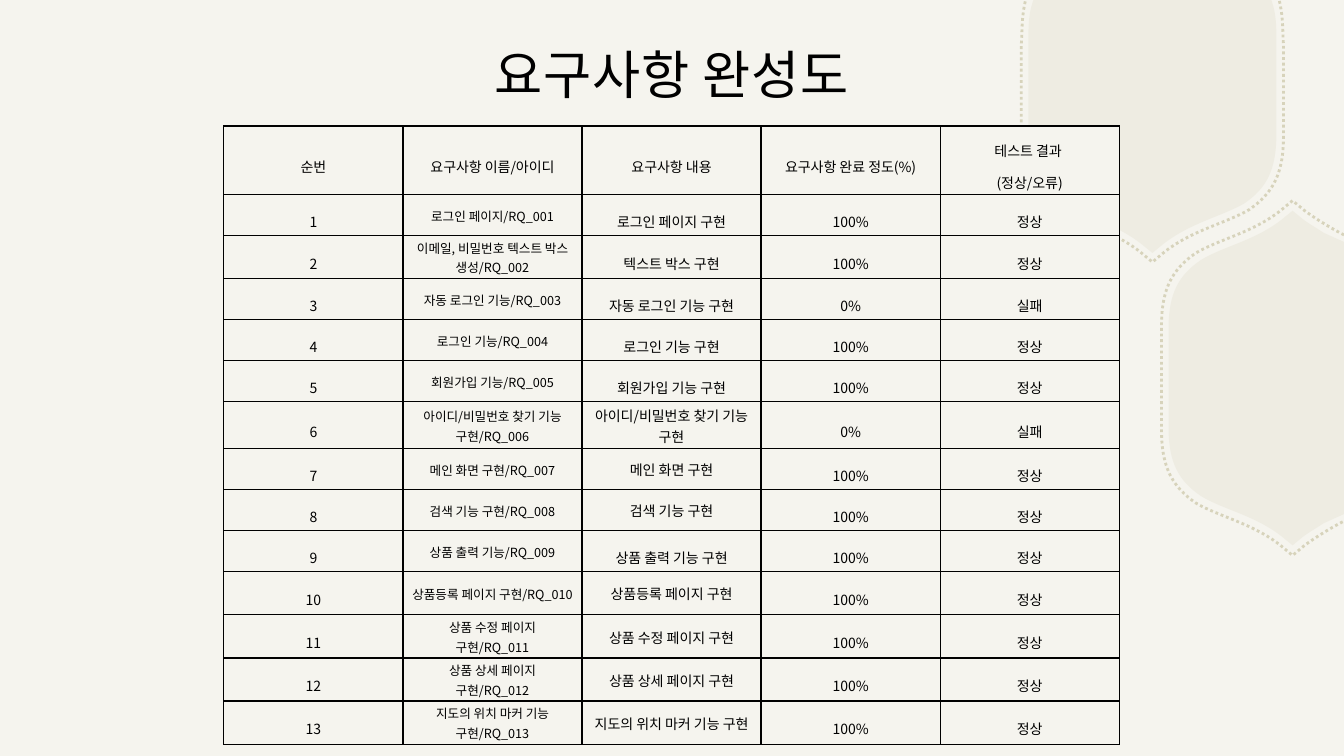
from lxml.etree import SubElement
from pptx import Presentation
from pptx.dml.color import RGBColor as RGB
from pptx.enum.dml import MSO_LINE
from pptx.enum.text import MSO_ANCHOR as ANCHOR, MSO_AUTO_SIZE as AUTO, PP_ALIGN as ALIGN
from pptx.oxml import parse_xml
from pptx.oxml.ns import nsdecls, qn
from pptx.util import Inches, Pt

COLORS = {"bg": "F5F4EE", "hexagon": "C8C3A2", "text": "000000", "border": "000000"}
TABLE_FONT = "Noto Sans CJK KR"
SLIDE_W, SLIDE_H = 13.33, 7.5

HEADERS = ["순번", "요구사항 이름/아이디", "요구사항 내용",
           "요구사항 완료 정도(%)", "테스트 결과 \n(정상/오류)"]
REQUIREMENTS = [  # name, content, percent done
    ("로그인 페이지", "로그인 페이지 구현", 100),
    ("이메일, 비밀번호 텍스트 박스 생성", "텍스트 박스 구현", 100),
    ("자동 로그인 기능", "자동 로그인 기능 구현", 0),
    ("로그인 기능", "로그인 기능 구현", 100),
    ("회원가입 기능", "회원가입 기능 구현", 100),
    ("아이디/비밀번호 찾기 기능 구현", "아이디/비밀번호 찾기 기능 구현", 0),
    ("메인 화면 구현", "메인 화면 구현", 100),
    ("검색 기능 구현", "검색 기능 구현", 100),
    ("상품 출력 기능", "상품 출력 기능 구현", 100),
    ("상품등록 페이지 구현", "상품등록 페이지 구현", 100),
    ("상품 수정 페이지 구현", "상품 수정 페이지 구현", 100),
    ("상품 상세 페이지 구현", "상품 상세 페이지 구현", 100),
    ("지도의 위치 마커 기능 구현", "지도의 위치 마커 기능 구현", 100),
]
LOOSE = {"line_spacing": 1.6}
COMPACT = {"line_spacing": 1.07, "space_after": Pt(8)}

# Half outlines from the slide edge to the axis of symmetry:
# segment kinds (L line, C curve) and their points
TOP_AXIS = {"x": 11.43}
RIGHT_AXIS = {"y": 3.75}
TOP_FILL = ("LCLCCL", [
    (12.61, 0), (12.62, 0.03), (12.65, 0.12), (12.66, 0.23), (12.66, 0.36),
    (12.66, 1.33), (12.66, 1.69), (12.56, 1.87), (12.34, 2.02),
    (12.11, 2.15), (11.81, 2.21), (11.54, 2.42), (11.43, 2.51)])
RIGHT_FILL = ("LCLLCCL", [
    (13.33, 2.4), (13.13, 2.31), (13.07, 2.27), (13, 2.23), (12.93, 2.18),
    (12.82, 2.09), (12.71, 2.18), (12.44, 2.39), (12.14, 2.44), (11.91, 2.58),
    (11.69, 2.73), (11.59, 2.91), (11.59, 3.26), (11.59, 3.75)])
TOP_DOTS = ("CLCCL", [
    (12.69, 0.01), (12.73, 0.19), (12.72, 0.3), (12.73, 0.44),
    (12.73, 1.36), (12.73, 1.73), (12.62, 1.92), (12.39, 2.08),
    (12.15, 2.22), (11.83, 2.28), (11.55, 2.5), (11.43, 2.6)])
RIGHT_DOTS = ("CLLCCL", [
    (13.33, 2.33), (13.19, 2.26), (13.02, 2.15), (12.94, 2.09), (12.82, 1.99),
    (12.7, 2.09), (12.42, 2.31), (12.1, 2.37), (11.86, 2.51),
    (11.63, 2.67), (11.52, 2.86), (11.52, 3.23), (11.52, 3.75)])


def set_attrs(obj, values):
    """Set every attribute in a dict of format values."""
    for name, value in values.items():
        setattr(obj, name, value)


def set_alpha(fill, percent):
    """Give a solid fill an opacity."""
    clr = fill._xPr.find(qn("a:solidFill"))[0]
    SubElement(clr, qn("a:alpha")).set("val", str(percent * 1000))


def mirror(half, x=None, y=None):
    """Complete a half outline by reflecting it in a vertical or horizontal axis."""
    kinds, pts = half
    other = [(px if x is None else 2 * x - px, py if y is None else 2 * y - py)
             for px, py in pts[-2::-1]]
    return kinds + kinds[::-1], pts + other


def add_outline(slide, kinds, pts, close):
    """Draw a freeform, joining the points of each curve segment into a Bezier."""
    pts = [(Inches(x), Inches(y)) for x, y in pts]
    builder = slide.shapes.build_freeform(*pts[0], scale=1.0)
    builder.add_line_segments(pts[1:], close=close)
    sp = builder.convert_to_shape()
    sp.shadow.inherit = False
    lines = iter(list(sp._element.iter(qn("a:lnTo"))))
    for kind in kinds:
        first = next(lines)
        if kind == "C":
            first.tag = qn("a:cubicBezTo")
            for _ in range(2):
                line = next(lines)
                first.append(line[0])
                line.getparent().remove(line)
    return sp


def add_filled_hexagon(slide, half, axis):
    """Add a pale hexagon cut at the slide edge."""
    sp = add_outline(slide, *mirror(half, **axis), close=True)
    sp.fill.solid()
    sp.fill.fore_color.rgb = RGB.from_string(COLORS["hexagon"])
    set_alpha(sp.fill, 15)
    sp.line.fill.background()


def add_dotted_hexagon(slide, half, axis):
    """Add the dotted line around a hexagon, open at the slide edge."""
    sp = add_outline(slide, *mirror(half, **axis), close=False)
    sp.fill.background()
    sp.line.color.rgb = RGB.from_string(COLORS["hexagon"])
    set_attrs(sp.line, {"width": Pt(2), "dash_style": MSO_LINE.ROUND_DOT})
    set_alpha(sp.line.fill, 65)


def add_borders(cell):
    """Draw a thin line on all four sides of a cell."""
    tcPr = cell._tc.get_or_add_tcPr()
    for side in "LRTB":
        tcPr.append(parse_xml(
            f'<a:ln{side} {nsdecls("a")} w="12700"><a:solidFill>'
            f'<a:srgbClr val="{COLORS["border"]}"/></a:solidFill></a:ln{side}>'))


def fill_cell(cell, text, size=10, side=0.02, spacing=LOOSE):
    """Write and format one table cell."""
    set_attrs(cell, {"vertical_anchor": ANCHOR.MIDDLE,
                     "margin_left": Inches(side), "margin_right": Inches(side),
                     "margin_top": Inches(0.02), "margin_bottom": Inches(0.02)})
    add_borders(cell)
    cell.fill.solid()
    cell.fill.fore_color.rgb = RGB.from_string(COLORS["bg"])
    cell.text = text
    for p in cell.text_frame.paragraphs:
        set_attrs(p, {"alignment": ALIGN.CENTER, **spacing})
        for r in p.runs:
            set_attrs(r.font, {"size": Pt(size), "name": TABLE_FONT, "bold": False})
            r.font.color.rgb = RGB.from_string(COLORS["text"])
            SubElement(r.font._element, qn("a:ea")).set("typeface", TABLE_FONT)


def add_requirements_table(slide):
    """Add the table of requirements and their test results."""
    count = len(REQUIREMENTS)
    tbl = slide.shapes.add_table(count + 1, len(HEADERS), Inches(2.22), Inches(1.25),
                                 Inches(8.88), Inches(5.67)).table
    set_attrs(tbl, {"first_row": False, "horz_banding": False})
    for i, row in enumerate(tbl.rows):
        row.height = Inches(5.29 / count if i else 0.38)
    for col, text in enumerate(HEADERS):
        fill_cell(tbl.cell(0, col), text)
    for n, (name, content, percent) in enumerate(REQUIREMENTS, 1):
        spacing = COMPACT if name == content else LOOSE
        fill_cell(tbl.cell(n, 0), str(n), side=0.07)
        fill_cell(tbl.cell(n, 1), f"{name}/RQ_{n:03}", 9, 0.08, COMPACT)
        fill_cell(tbl.cell(n, 2), content, side=0.07, spacing=spacing)
        fill_cell(tbl.cell(n, 3), f"{percent}%")
        fill_cell(tbl.cell(n, 4), "정상" if percent == 100 else "실패")


def set_title(slide, text):
    """Place and format the title, in front of the decoration."""
    title = slide.shapes.title
    set_attrs(title, {"left": Inches(2.3), "top": Inches(0.36),
                      "width": Inches(8.73), "height": Inches(0.73)})
    tf = title.text_frame
    tf.text = text
    set_attrs(tf, {"auto_size": AUTO.NONE, "word_wrap": True,
                   "vertical_anchor": ANCHOR.BOTTOM})
    p = tf.paragraphs[0]
    set_attrs(p, {"alignment": ALIGN.CENTER, "line_spacing": 1.1})
    font = p.runs[0].font
    set_attrs(font, {"size": Pt(37.4), "name": "Arial"})
    font.color.rgb = RGB.from_string(COLORS["text"])
    font._element.set("spc", "50")
    slide.shapes._spTree.append(title._element)


def main():
    """Build the slide and save it."""
    prs = Presentation()
    set_attrs(prs, {"slide_width": Inches(SLIDE_W), "slide_height": Inches(SLIDE_H)})
    slide = prs.slides.add_slide(prs.slide_layouts[5])
    slide.background.fill.solid()
    slide.background.fill.fore_color.rgb = RGB.from_string(COLORS["bg"])
    add_filled_hexagon(slide, TOP_FILL, TOP_AXIS)
    add_filled_hexagon(slide, RIGHT_FILL, RIGHT_AXIS)
    add_dotted_hexagon(slide, TOP_DOTS, TOP_AXIS)
    add_dotted_hexagon(slide, RIGHT_DOTS, RIGHT_AXIS)
    add_requirements_table(slide)
    set_title(slide, "요구사항 완성도")
    prs.save("out.pptx")


main()
